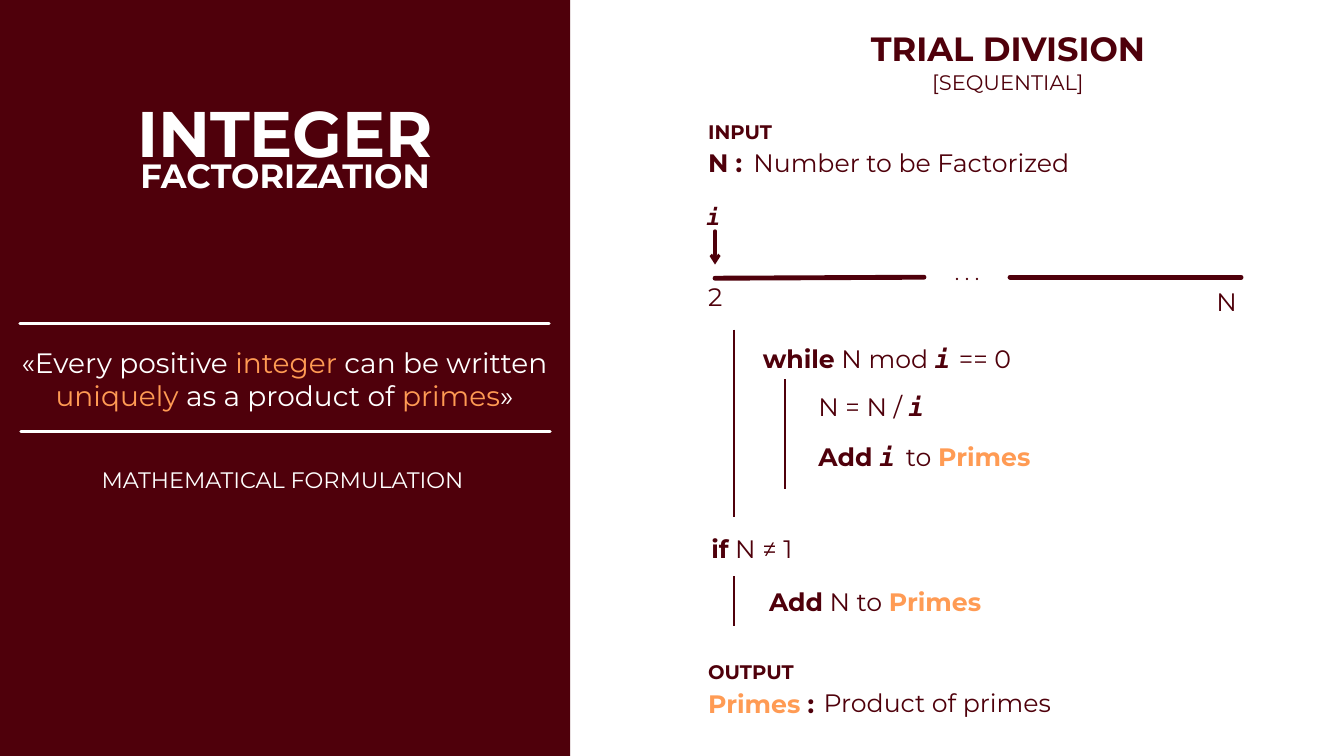
from lxml.etree import SubElement
from pptx import Presentation
from pptx.dml.color import RGBColor
from pptx.enum.shapes import MSO_CONNECTOR, MSO_SHAPE
from pptx.enum.text import MSO_AUTO_SIZE, PP_ALIGN
from pptx.oxml.ns import qn
from pptx.util import Emu, Pt

PX = 9525  # 96 px to the inch
MAROON, ORANGE, WHITE = "4F000B", "FF9B54", "FFFFFF"

PLAIN = {"name": "Montserrat", "size": Pt(18), "bold": False, "italic": False}
BOLD = PLAIN | {"bold": True}
INDEX = BOLD | {"name": "DejaVu Sans Mono", "italic": True}
WIDE_GAP = PLAIN | {"size": Pt(24), "italic": True}
COMIC_GAP = WIDE_GAP | {"name": "Comic Neue"}
HEADING = BOLD | {"size": Pt(24)}
LABEL = BOLD | {"size": Pt(14)}
SMALL = PLAIN | {"size": Pt(15)}
QUOTE = PLAIN | {"size": Pt(20)}


def px(length):
    return Emu(length * PX)


def color(value):
    return RGBColor.from_string(value)


def add_panel(slide, left, top, width, height, fill):
    panel = slide.shapes.add_shape(
        MSO_SHAPE.RECTANGLE, px(left), px(top), px(width), px(height))
    panel.shadow.inherit = False
    panel.fill.solid()
    panel.fill.fore_color.rgb = color(fill)
    panel.line.fill.background()


def add_text(slide, box, *runs, ink=MAROON, align=PP_ALIGN.LEFT, wrap=True):
    """Place one paragraph; each run is (text, format) or (text, format, colour)."""
    frame = slide.shapes.add_textbox(*map(px, box)).text_frame
    frame.word_wrap = wrap
    frame.auto_size = MSO_AUTO_SIZE.SHAPE_TO_FIT_TEXT
    paragraph = frame.paragraphs[0]
    paragraph.alignment = align
    for text, style, *own_ink in runs:
        run = paragraph.add_run()
        run.text = text
        for attribute, value in style.items():
            setattr(run.font, attribute, value)
        run.font.color.rgb = color(own_ink[0] if own_ink else ink)


def add_rule(slide, start, end, width, ink=MAROON, cap="rnd", arrow=False):
    rule = slide.shapes.add_connector(
        MSO_CONNECTOR.STRAIGHT, *map(px, start + end))
    rule.line.color.rgb = color(ink)
    rule.line.width = Pt(width)
    properties = rule.element.spPr
    outline = properties.find(qn("a:ln"))
    outline.set("cap", cap)
    if arrow:
        SubElement(outline, qn("a:tailEnd"), type="arrow")
    SubElement(properties, qn("a:effectLst"))


def add_theorem(slide):
    add_panel(slide, 0, 0, 543, 720, MAROON)
    centred = {"ink": WHITE, "align": PP_ALIGN.CENTER}
    add_text(slide, (111, 84, 321, 87),
             ("INTEGER", BOLD | {"size": Pt(46)}), **centred)
    add_text(slide, (111, 143, 321, 48), ("FACTORIZATION", HEADING), **centred)
    add_text(slide, (-22, 439, 588, 36),
             ("MATHEMATICAL FORMULATION ", PLAIN | {"size": Pt(16)}), **centred)
    add_text(slide, (-49, 324, 640, 74),
             ("«Every positive ", QUOTE), ("integer", QUOTE, ORANGE),
             (" can be written ", QUOTE), ("uniquely ", QUOTE, ORANGE),
             ("as a product of ", QUOTE), ("primes", QUOTE, ORANGE),
             ("»", QUOTE), **centred)
    for left, top in ((19, 308), (20, 411)):
        add_rule(slide, (left, top), (left + 504, top), 2.25, WHITE)


def add_input_and_output(slide):
    add_text(slide, (640, 22, 640, 48), ("TRIAL DIVISION", HEADING),
             align=PP_ALIGN.CENTER)
    add_text(slide, (640, 62, 640, 34), ("[SEQUENTIAL]", SMALL),
             align=PP_ALIGN.CENTER)
    for top, label in ((109, "INPUT"), (624, "OUTPUT")):
        add_text(slide, (665, top, 115, 33), (label, LABEL))
    add_text(slide, (665, 136, 408, 38), ("N :", BOLD))
    add_text(slide, (708, 136, 408, 38), ("Number to be Factorized", PLAIN))
    add_text(slide, (665, 651, 564, 38), ("Primes", BOLD, ORANGE), (" :", BOLD))
    add_text(slide, (775, 650, 299, 38), ("Product of primes", PLAIN))


def add_number_line(slide):
    add_rule(slide, (681, 265), (880, 264), 3.5)
    add_rule(slide, (962, 264), (1182, 264), 3.5)
    add_rule(slide, (681, 220), (681, 252), 2.25, arrow=True)
    add_text(slide, (660, 189, 39, 36), ("i", INDEX | {"size": Pt(16)}),
             align=PP_ALIGN.CENTER)
    add_text(slide, (900, 242, 48, 34), (". . .", SMALL), wrap=False)
    add_text(slide, (665, 263, 34, 38), ("2", PLAIN), wrap=False)
    add_text(slide, (1149, 268, 35, 38), ("N", PLAIN))


def add_algorithm(slide):
    for left, top, bottom in ((699, 314, 492), (748, 361, 466), (699, 549, 596)):
        add_rule(slide, (left, top), (left, bottom), 1.5, cap="flat")
    steps = (
        (717, 314, 48, (("while", BOLD), (" N mod ", PLAIN), ("i", INDEX),
                        (" ", WIDE_GAP), ("== 0", PLAIN))),
        (770, 368, 38, (("N = N / ", PLAIN), ("i", INDEX))),
        (770, 408, 48, (("Add ", BOLD), ("i", INDEX), (" ", COMIC_GAP),
                        ("to ", PLAIN), ("Primes", BOLD, ORANGE))),
        (668, 503, 38, (("if", BOLD), (" N ≠ 1", PLAIN))),
        (723, 554, 38, (("Add", BOLD), (" N to ", PLAIN),
                        ("Primes", BOLD, ORANGE))),
    )
    for left, top, height, runs in steps:
        add_text(slide, (left, top, 311, height), *runs)


def main():
    presentation = Presentation()
    presentation.slide_width, presentation.slide_height = px(1280), px(720)
    slide = presentation.slides.add_slide(presentation.slide_layouts[6])
    add_theorem(slide)
    add_input_and_output(slide)
    add_number_line(slide)
    add_algorithm(slide)
    presentation.save("out.pptx")


if __name__ == "__main__":
    main()
